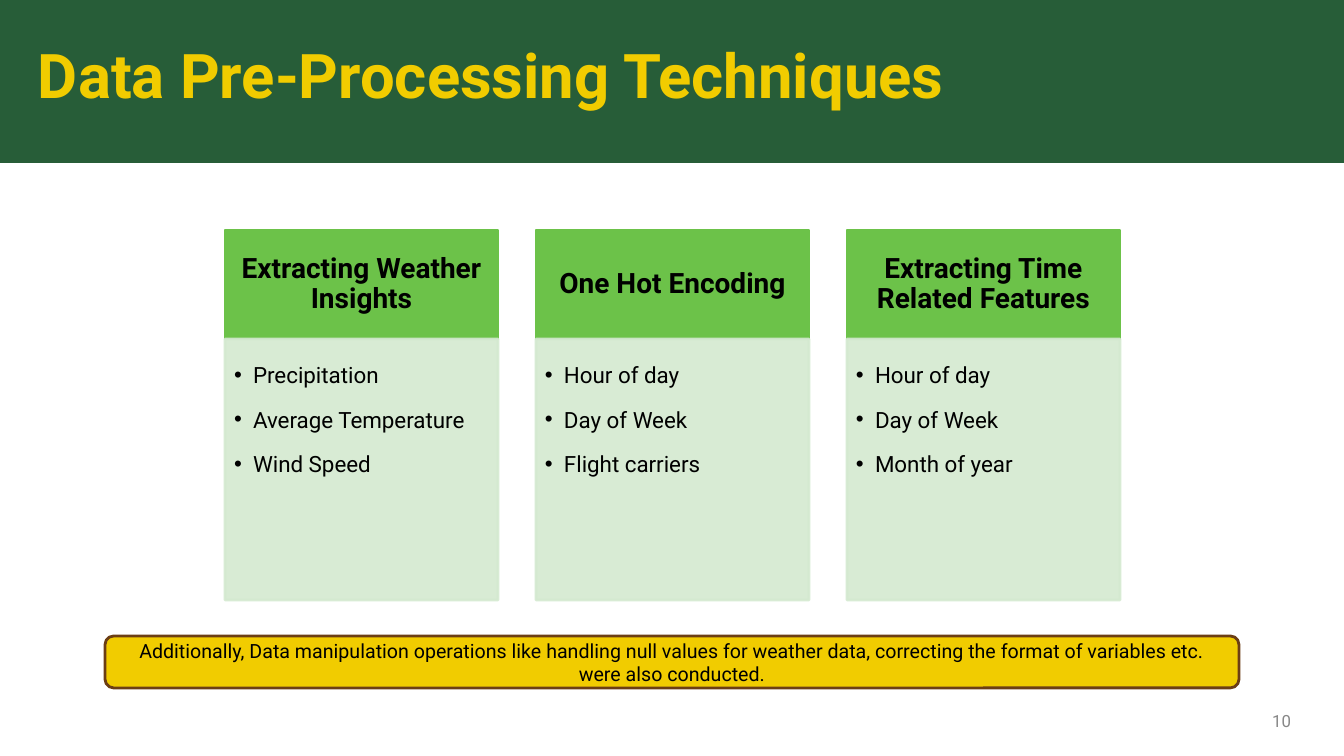
from lxml.etree import SubElement
from pptx import Presentation
from pptx.dml.color import RGBColor
from pptx.enum.shapes import MSO_SHAPE
from pptx.enum.text import MSO_ANCHOR, PP_ALIGN
from pptx.oxml.ns import qn
from pptx.util import Pt

EMU_PER_PX = 914400 / 100.8

COLORS = {
    "banner": "275D38",
    "gold": "F1CC00",
    "brown": "6C3E14",
    "header": "6CC249",
    "body": "D4E9D0",
    "black": "000000",
    "gray": "888888",
}

TECHNIQUES = [
    ("Extracting Weather Insights", ["Precipitation", "Average Temperature", "Wind Speed"]),
    ("One Hot Encoding", ["Hour of day", "Day of Week", "Flight carriers"]),
    ("Extracting Time Related Features", ["Hour of day", "Day of Week", "Month of year"]),
]


def px(length):
    return round(length * EMU_PER_PX)


def color(name):
    return RGBColor.from_string(COLORS[name])


class SlideBuilder:
    font_name = "Roboto"
    line_width = Pt(2)

    def __init__(self, slide):
        self.slide = slide

    def box(self, bounds, fill, line=None, kind=MSO_SHAPE.RECTANGLE, opacity=100):
        shape = self.slide.shapes.add_shape(kind, *map(px, bounds))
        shape.shadow.inherit = False
        shape.fill.solid()
        shape.fill.fore_color.rgb = color(fill)
        if line:
            shape.line.color.rgb = color(line)
            shape.line.width = self.line_width
        else:
            shape.line.fill.background()
        if opacity < 100:
            for element in list(shape._element.spPr.iter(qn("a:srgbClr"))):
                SubElement(element, qn("a:alpha"), val=str(opacity * 1000))
        return shape

    def text_box(self, bounds):
        return self.slide.shapes.add_textbox(*map(px, bounds))

    def set_text(self, shape, lines, size, ink="black", bold=False, align=PP_ALIGN.LEFT,
                 anchor=MSO_ANCHOR.MIDDLE, insets=(10, 5, 10, 5), spacing=1.0,
                 space_after=0, bullet_indent=0):
        frame = shape.text_frame
        frame.word_wrap = True
        frame.vertical_anchor = anchor
        (frame.margin_left, frame.margin_top,
         frame.margin_right, frame.margin_bottom) = map(px, insets)
        frame.text = "\n".join(lines)
        for paragraph in frame.paragraphs:
            paragraph.alignment = align
            paragraph.line_spacing = spacing
            paragraph.space_after = Pt(space_after)
            if bullet_indent:
                self.add_bullet(paragraph, bullet_indent)
            paragraph.font.name = self.font_name
            paragraph.font.size = Pt(size)
            paragraph.font.bold = bold
            paragraph.font.color.rgb = color(ink)

    def add_bullet(self, paragraph, indent):
        properties = paragraph._p.get_or_add_pPr()
        properties.set("marL", str(px(indent)))
        properties.set("indent", str(-px(indent)))
        bullet_color = SubElement(properties, qn("a:buClr"))
        SubElement(bullet_color, qn("a:srgbClr"), val=COLORS["black"])
        SubElement(properties, qn("a:buFont"), typeface="Arial")
        SubElement(properties, qn("a:buChar"), char="•")

    def technique_card(self, left, title, items):
        width, top, header_height, body_height = 273, 230, 109, 261
        header = self.box((left, top, width, header_height), "header", "header")
        self.set_text(header, [title], 20, bold=True, align=PP_ALIGN.CENTER,
                      insets=(16, 9, 16, 9), spacing=0.9)
        body = self.box((left, top + header_height, width, body_height),
                        "body", "body", opacity=90)
        self.set_text(body, items, 16, anchor=MSO_ANCHOR.TOP, insets=(9, 9, 12, 14),
                      spacing=1.5, space_after=3, bullet_indent=19)


def main():
    presentation = Presentation()
    presentation.slide_width = px(1344)
    presentation.slide_height = px(756)
    slide = presentation.slides.add_slide(presentation.slide_layouts[6])
    builder = SlideBuilder(slide)

    builder.box((0, 0, 1344, 163), "banner")
    builder.set_text(builder.text_box((38, 45, 1262, 84)), ["Data Pre-Processing Techniques"],
                     44, "gold", bold=True, anchor=MSO_ANCHOR.TOP,
                     insets=(0, 0, 0, 0), spacing=0.9)

    for index, (title, items) in enumerate(TECHNIQUES):
        builder.technique_card(225 + 311 * index, title, items)

    note = builder.box((105, 636, 1134, 52), "gold", "brown", MSO_SHAPE.ROUNDED_RECTANGLE)
    builder.set_text(note, ["Additionally, Data manipulation operations like handling null values "
                            "for weather data, correcting the format of variables etc. "
                            "were also conducted."], 14, align=PP_ALIGN.CENTER)
    builder.set_text(builder.text_box((973, 701, 328, 40)), ["10"], 12, "gray",
                     align=PP_ALIGN.RIGHT)

    presentation.save("out.pptx")


if __name__ == "__main__":
    main()
